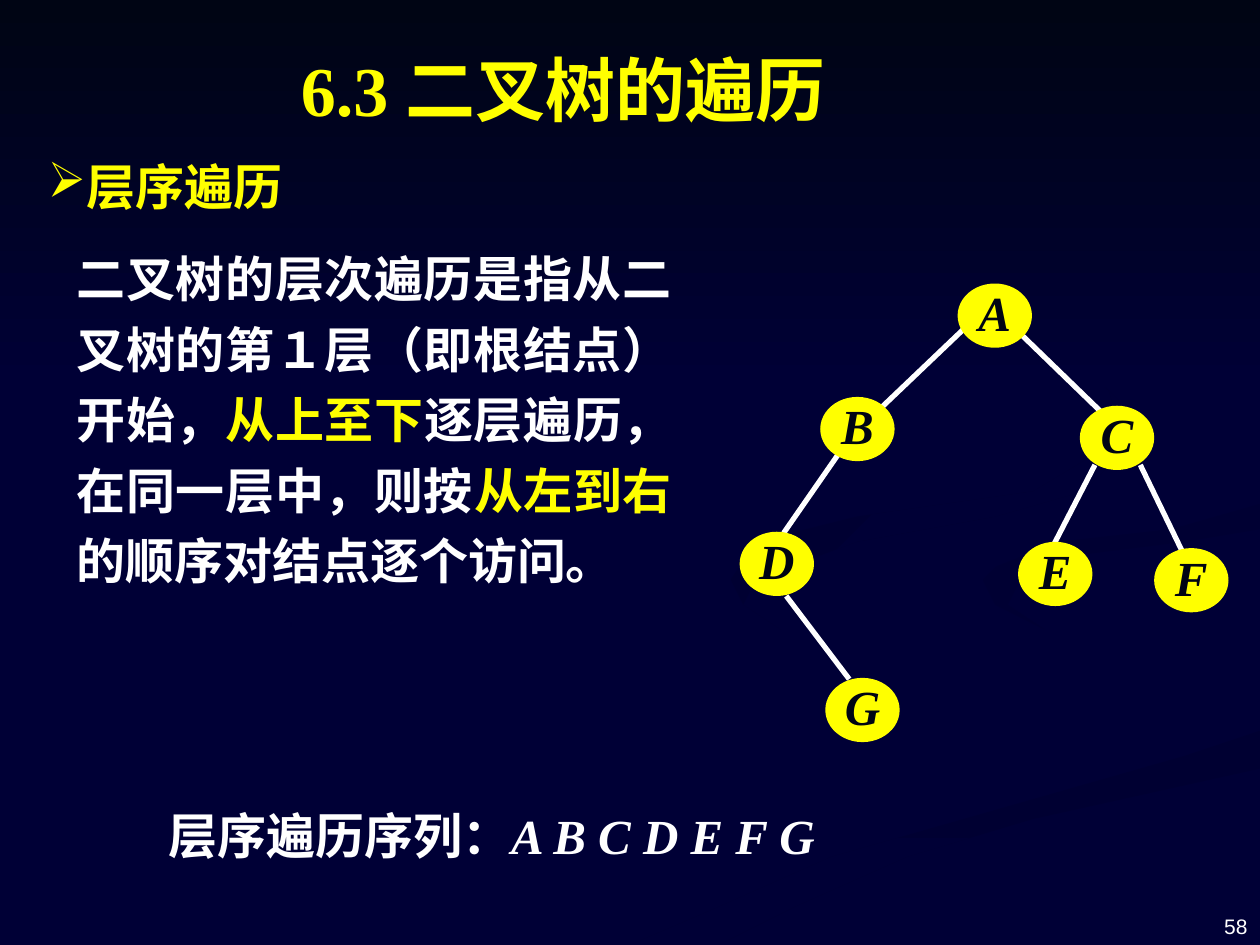
from pptx import Presentation
from pptx import util as u
from pptx.dml.color import RGBColor
from pptx.enum import shapes, text
from pptx.oxml import ns
from lxml import etree

UNIT = 0.1  # grid step in inches: the page is 100 columns by 75 rows
PAGE = (0, 0, 100, 75)
NAVY, INK, WHITE, YELLOW = "000036", "000514", "FFFFFF", "FFFF00"
SERIF = "Times New Roman"

# Background curves: outline points in grid steps, first colour, last colour, angle
CURVES = [
    ([(57.5, 45.9), (57, 47.2), (58.6, 48.7), (63.1, 50.5), (71.4, 53),
      (77, 55.1), (78.6, 56.6), (77.4, 58.3), (72.7, 60.2), (65.2, 62),
      (53.9, 64.9), (41.7, 69), (30, 74.9), (36.1, 74.9), (46.6, 70),
      (56.4, 66.5), (67.6, 63.4), (77, 60.9), (79.7, 58.8), (79.5, 56.7),
      (75.7, 54.3), (66.1, 51.3), (60.2, 49)], NAVY, "000034", 0),
    ([(72.4, 46.4), (73.3, 48.8), (76.6, 51.2), (83.8, 53.6), (90, 55.7),
      (91.8, 58.1), (89.4, 60.5), (93.2, 58.9), (94.3, 57), (91.9, 54.7),
      (87, 53), (79.2, 50.9), (74.5, 49)], NAVY, "000034", 315),
    ([(50.3, 74.9), (57.1, 74.9), (63, 71.9), (72.2, 68.2), (82.1, 65.1),
      (99.8, 60.9), (99.8, 58.1), (93.6, 60.2), (79.7, 63.8), (66.2, 68.1),
      (56.9, 71.9)], "000032", NAVY, 270),
    ([(78.1, 46), (79.1, 47.8), (82.6, 49.6), (80.5, 47.6), (81.2, 46.2),
      (85.9, 44.3), (93.6, 42.9), (99.8, 42), (99.8, 40.2), (93.3, 41.5),
      (83.5, 43), (79.1, 44.7)], "000033", NAVY, 315),
    ([(68.3, 43), (78.6, 41.2), (85.5, 39.1), (88.9, 36.2), (89, 32.4),
      (86.4, 29.1), (82.1, 26.1), (76.2, 23.3), (82.6, 26.6), (87.6, 30.6),
      (88.9, 33.5), (87, 36.5), (81.8, 38.6), (67.6, 41.4), (60.5, 43.3),
      (57.7, 46.2), (59, 48.4), (62.2, 50), (59.4, 47.5), (60.1, 45.6)],
     "000032", NAVY, 315),
]

# Tree: upper left corner of each node and both ends of each branch, in grid steps
NODES = {"A": (17.3, 0), "B": (6.4, 9), "C": (27, 9.7), "D": (0, 19.7),
         "E": (22.1, 20.5), "F": (32.9, 21), "G": (6.8, 31.3)}
NODE_SIZE = (5.9, 5.1)
BRANCHES = [(17.7, 3.7, 11.3, 9.8), (22.3, 4, 28.7, 10.2),
            (7.8, 13.6, 3.5, 19.8), (3.7, 24.8, 8.7, 31.4),
            (28.2, 14.4, 25, 20.6), (31.8, 14.4, 35.1, 21.2)]


def steps(*values):
    return [u.Inches(value * UNIT) for value in values]


def colour(code):
    return RGBColor.from_string(code)


def style(span, size, code, face=SERIF, bold=True, italic=False):
    span.font.size = u.Pt(size)
    span.font.name = face
    span.font.bold = bold
    span.font.italic = italic
    span.font.color.rgb = colour(code)


def grade(shape, first, last, angle):
    shape.fill.gradient()
    shape.fill.gradient_angle = angle
    for stop, code in zip(shape.fill.gradient_stops, (first, last)):
        stop.color.rgb = colour(code)
    shape.line.fill.background()
    shape.shadow.inherit = False


def add_background(page, box):
    left, top, width, height = box
    page.background.fill.solid()
    page.background.fill.fore_color.rgb = colour(NAVY)
    for points, first, last, angle in CURVES:
        outline = [(left + x, top + y) for x, y in points]
        builder = page.shapes.build_freeform(*outline[0], scale=u.Inches(UNIT))
        builder.add_line_segments(outline[1:], close=True)
        grade(builder.convert_to_shape(), first, last, angle)
    # Dark fade along the top
    fade = page.shapes.add_shape(shapes.MSO_SHAPE.RECTANGLE,
                                 *steps(left, top, width, height * 0.41))
    grade(fade, INK, NAVY, 270)


def add_text(page, box, spans, align=text.PP_ALIGN.JUSTIFY, bullet=None,
             spacing=None, anchor=text.MSO_ANCHOR.TOP):
    """Each span is its words followed by the arguments of style()."""
    frame = page.shapes.add_textbox(*steps(*box)).text_frame
    frame.word_wrap = True
    frame.vertical_anchor = anchor
    para = frame.paragraphs[0]
    para.alignment = align
    if spacing:
        para.line_spacing = spacing
    if bullet:
        mark = etree.SubElement(para._p.get_or_add_pPr(), ns.qn("a:buChar"))
        mark.set("char", bullet)
    for words, *look in spans:
        span = para.add_run()
        span.text = words
        style(span, *look)


def add_branch(page, ends):
    branch = page.shapes.add_connector(shapes.MSO_CONNECTOR.STRAIGHT, *steps(*ends))
    branch.line.color.rgb = colour(WHITE)
    branch.line.width = u.Pt(3)
    etree.SubElement(branch._element.spPr, ns.qn("a:effectLst"))


def add_node(page, box, letter):
    node = page.shapes.add_shape(shapes.MSO_SHAPE.OVAL, *steps(*box))
    node.shadow.inherit = False
    node.fill.solid()
    node.fill.fore_color.rgb = colour(YELLOW)
    node.line.fill.background()
    frame = node.text_frame
    frame.word_wrap = False
    frame.margin_left = frame.margin_right = frame.margin_top = 0
    frame.margin_bottom = u.Inches(0.06)
    frame.vertical_anchor = text.MSO_ANCHOR.MIDDLE
    frame.text = letter
    para = frame.paragraphs[0]
    para.alignment = text.PP_ALIGN.CENTER
    style(para.runs[0], 28, INK, SERIF, True, True)


def add_tree(page, box):
    left, top = box[:2]
    for x1, y1, x2, y2 in BRANCHES:
        add_branch(page, (left + x1, top + y1, left + x2, top + y2))
    for letter, (x, y) in NODES.items():
        add_node(page, (left + x, top + y, *NODE_SIZE), letter)


def main():
    deck = Presentation()
    deck.slide_width, deck.slide_height = steps(*PAGE[2:])
    page = deck.slides.add_slide(deck.slide_layouts[6])
    add_background(page, PAGE)

    # Title and topic
    add_text(page, (22.9, 3.2, 63.8, 7.7), [("6.3 二叉树的遍历", 40, YELLOW)])
    add_text(page, (2.8, 11.9, 59.2, 6.3), [("层序遍历", 28, YELLOW)], bullet="➢")

    # Definition
    add_text(page, (5.1, 18.3, 49.2, 29), [
        ("二叉树的层次遍历是指从二叉树的第１层（即根结点）开始，", 28, WHITE),
        ("从上至下", 28, YELLOW),
        ("逐层遍历，在同一层中，则按", 28, WHITE),
        ("从左到右", 28, YELLOW),
        ("的顺序对结点逐个访问。", 28, WHITE),
    ], spacing=1.2)

    add_tree(page, (58.7, 22.5, 38.8, 36.4))

    # Resulting sequence
    add_text(page, (12.4, 63.4, 56, 5.7), [
        ("层序遍历序列：", 28, WHITE),
        ("A B C D E F G", 28, WHITE, SERIF, True, True),
    ])

    # Page number
    add_text(page, (76.7, 69.8, 23.3, 5.2), [("58", 12, WHITE, "Arial", False)],
             align=text.PP_ALIGN.RIGHT, anchor=text.MSO_ANCHOR.BOTTOM)
    deck.save("out.pptx")


if __name__ == "__main__":
    main()
